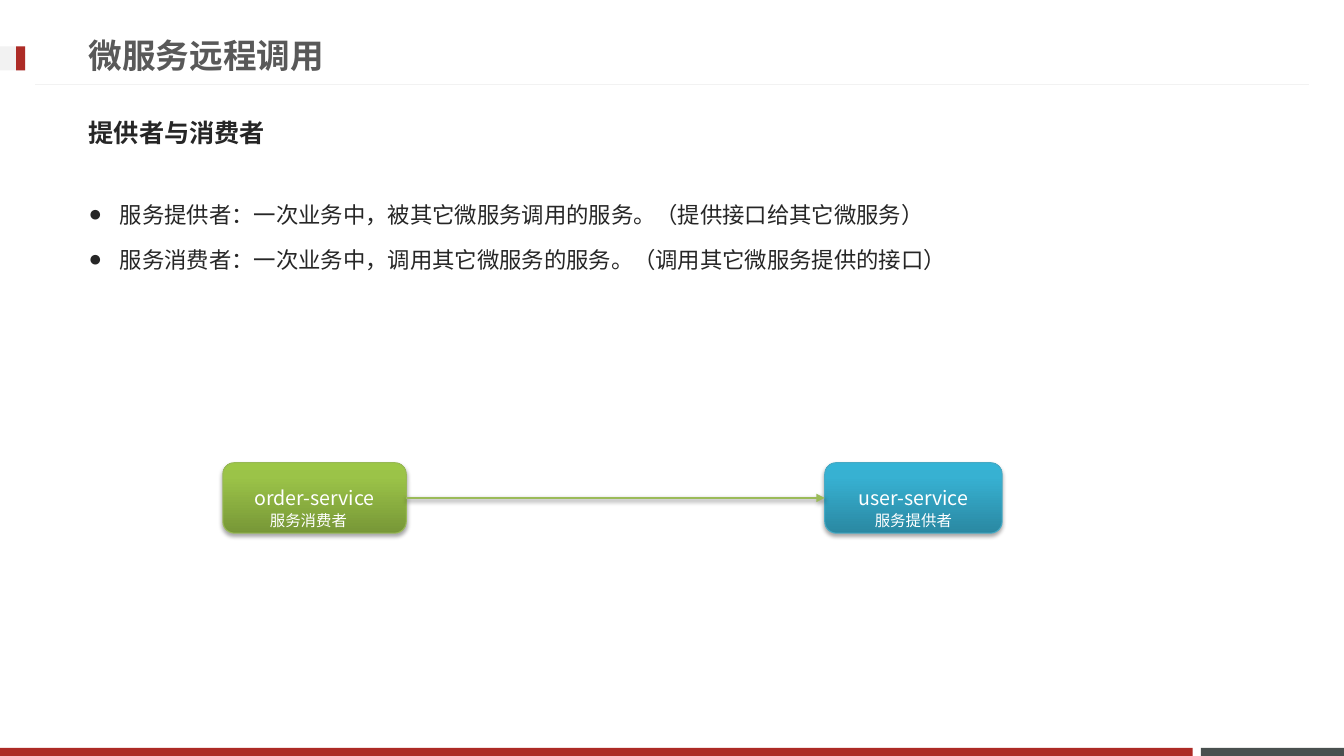
from pptx import Presentation
from pptx.dml.color import RGBColor
from pptx.enum.shapes import MSO_CONNECTOR as LINE, MSO_SHAPE as SHAPE
from pptx.enum.text import MSO_ANCHOR as ANCHOR, MSO_AUTO_SIZE as FIT, PP_ALIGN as ALIGN
from pptx.oxml import parse_xml
from pptx.oxml.ns import nsdecls, qn
from pptx.util import Inches, Pt

NS = nsdecls("a")


def color(code):
    return RGBColor.from_string(code)


class Deck:
    FONT = "Noto Sans CJK JP"
    DARK, RED, PALE, WHITE = "262626", "AD2B26", "F2F2F2", "FFFFFF"

    def __init__(self):
        self.prs = Presentation()
        self.prs.slide_width, self.prs.slide_height = Inches(13.33), Inches(7.5)
        self.slide = self.prs.slides.add_slide(self.prs.slide_layouts[3])
        self.shapes = self.slide.shapes

    def style(self, para, size, code, bold=False, font=FONT):
        for run in para.runs:
            run.font.size, run.font.bold, run.font.name = Pt(size), bold, font
            run.font.color.rgb = color(code)
            latin = run.font._element.find(qn("a:latin"))
            latin.addnext(parse_xml(f'<a:ea {NS} typeface="{self.FONT}"/>'))

    def holder(self, idx, box, lines, anchor):
        """Move a placeholder, fill it and return its paragraphs."""
        item = self.slide.placeholders[idx]
        item.left, item.top, item.width, item.height = map(Inches, box)
        frame = item.text_frame
        frame.text = "\n".join(lines)
        frame.auto_size, frame.vertical_anchor = FIT.NONE, anchor
        for para in frame.paragraphs:
            para.alignment, para.space_before = ALIGN.LEFT, Pt(0)
        return frame.paragraphs

    def title(self, box, text):
        para, = self.holder(0, box, [text], ANCHOR.MIDDLE)
        self.style(para, 24, "595959", True, "Arial")

    def heading(self, box, text):
        para, = self.holder(1, box, [text], ANCHOR.MIDDLE)
        props = para._p.get_or_add_pPr()
        props.set("marL", "0")
        props.set("indent", "0")
        props.append(parse_xml(f"<a:buNone {NS}/>"))
        self.style(para, 18, self.DARK, True)

    def bullets(self, box, lines):
        for i, para in enumerate(self.holder(2, box, lines, ANCHOR.TOP)):
            para.line_spacing = 1.5
            if i:
                para.space_before = Pt(3.2)
            props = para._p.get_or_add_pPr()
            props.set("marL", str(Inches(0.31)))
            props.set("indent", str(-Inches(0.31)))
            props.append(parse_xml(f'<a:buFont {NS} typeface="Arial"/>'))
            props.append(parse_xml(f'<a:buChar {NS} char="●"/>'))
            self.style(para, 16, self.DARK)

    def block(self, box, code):
        item = self.shapes.add_shape(SHAPE.RECTANGLE, *map(Inches, box))
        item.shadow.inherit = False
        item.fill.solid()
        item.fill.fore_color.rgb = color(code)
        item.line.fill.background()

    def shade(self, item, alpha, dist):
        """Cast a soft shadow straight down."""
        item._element.spPr.append(parse_xml(
            f'<a:effectLst {NS}><a:outerShdw blurRad="{Pt(3.1)}" dist="{Pt(dist)}" '
            f'dir="5400000" rotWithShape="0"><a:srgbClr val="000000">'
            f'<a:alpha val="{alpha * 1000}"/></a:srgbClr></a:outerShdw></a:effectLst>'))

    def service(self, box, text, stops, edge):
        item = self.shapes.add_shape(SHAPE.ROUNDED_RECTANGLE, *map(Inches, box))
        item.line.color.rgb, item.line.width = color(edge), Pt(0.75)
        marks = "".join(f'<a:gs pos="{pos * 1000}"><a:srgbClr val="{color(code)}"/></a:gs>'
                        for pos, code in zip((0, 80, 100), stops))
        item._element.spPr.find(qn("a:prstGeom")).addnext(parse_xml(
            f'<a:gradFill {NS} rotWithShape="1"><a:gsLst>{marks}</a:gsLst>'
            '<a:lin ang="16200000" scaled="0"/></a:gradFill>'))
        self.shade(item, 35, 1.8)
        frame = item.text_frame
        frame.text, frame.vertical_anchor = text, ANCHOR.MIDDLE
        frame.paragraphs[0].alignment = ALIGN.CENTER
        self.style(frame.paragraphs[0], 14, self.WHITE)
        return item

    def label(self, box, text):
        frame = self.shapes.add_textbox(*map(Inches, box)).text_frame
        frame.text, frame.word_wrap = text, False
        frame.auto_size = FIT.SHAPE_TO_FIT_TEXT
        frame.paragraphs[0].alignment = ALIGN.CENTER
        self.style(frame.paragraphs[0], 11, self.WHITE)

    def line(self, ends, code, width):
        item = self.shapes.add_connector(LINE.STRAIGHT, *map(Inches, ends))
        item.line.color.rgb, item.line.width = color(code), Pt(width)
        return item

    def rule(self, ends):
        item = self.line(ends, self.PALE, 0.75)
        item._element.spPr.append(parse_xml(f"<a:effectLst {NS}/>"))

    def arrow(self, start, end, ends):
        item = self.line(ends, "9BBB59", 2)
        item.begin_connect(start, 3)
        item.end_connect(end, 1)
        item.line._get_or_add_ln().append(parse_xml(f'<a:tailEnd {NS} type="triangle"/>'))
        self.shade(item, 38, 1.6)


def main():
    deck = Deck()

    # Frame: footer bars, header rule and marker
    deck.block((11.91, 7.42, 1.42, 0.08), "49504F")
    deck.block((0, 7.42, 11.83, 0.08), deck.RED)
    deck.rule((0.35, 0.84, 12.98, 0.84))
    deck.block((0, 0.46, 0.25, 0.24), deck.PALE)
    deck.block((0.16, 0.46, 0.09, 0.24), deck.RED)

    # Title, heading and list
    deck.title((0.78, 0.26, 9.59, 0.57), "微服务远程调用")
    deck.heading((0.78, 1.03, 11.7, 0.57), "提供者与消费者")
    deck.bullets((0.78, 1.81, 11.7, 1.94), [
        "服务提供者：一次业务中，被其它微服务调用的服务。（提供接口给其它微服务）",
        "服务消费者：一次业务中，调用其它微服务的服务。（调用其它微服务提供的接口）",
    ])

    # Services and the call between them
    order = deck.service((2.21, 4.59, 1.82, 0.7), "order-service",
                         ("779737", "9BC348", "9DC746"), "98B955")
    user = deck.service((8.18, 4.59, 1.76, 0.7), "user-service",
                        ("2A88A2", "37B1D2", "34B4D6"), "46AAC5")
    deck.arrow(order, user, (4.03, 4.94, 8.18, 4.94))
    deck.label((8.56, 5.02, 1, 0.29), "服务提供者")
    deck.label((2.56, 5.02, 1, 0.29), "服务消费者")

    deck.prs.save("out.pptx")


if __name__ == "__main__":
    main()
